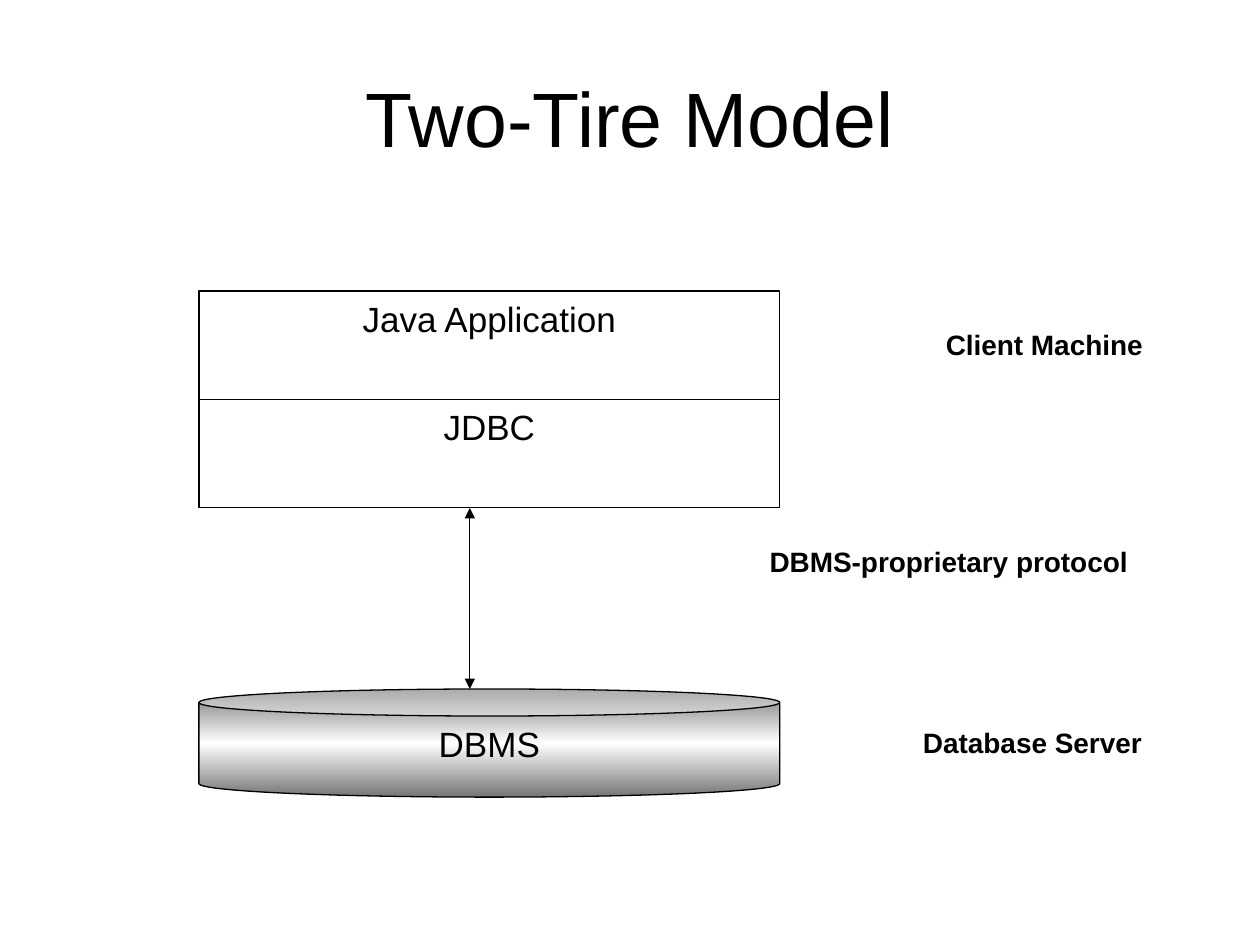
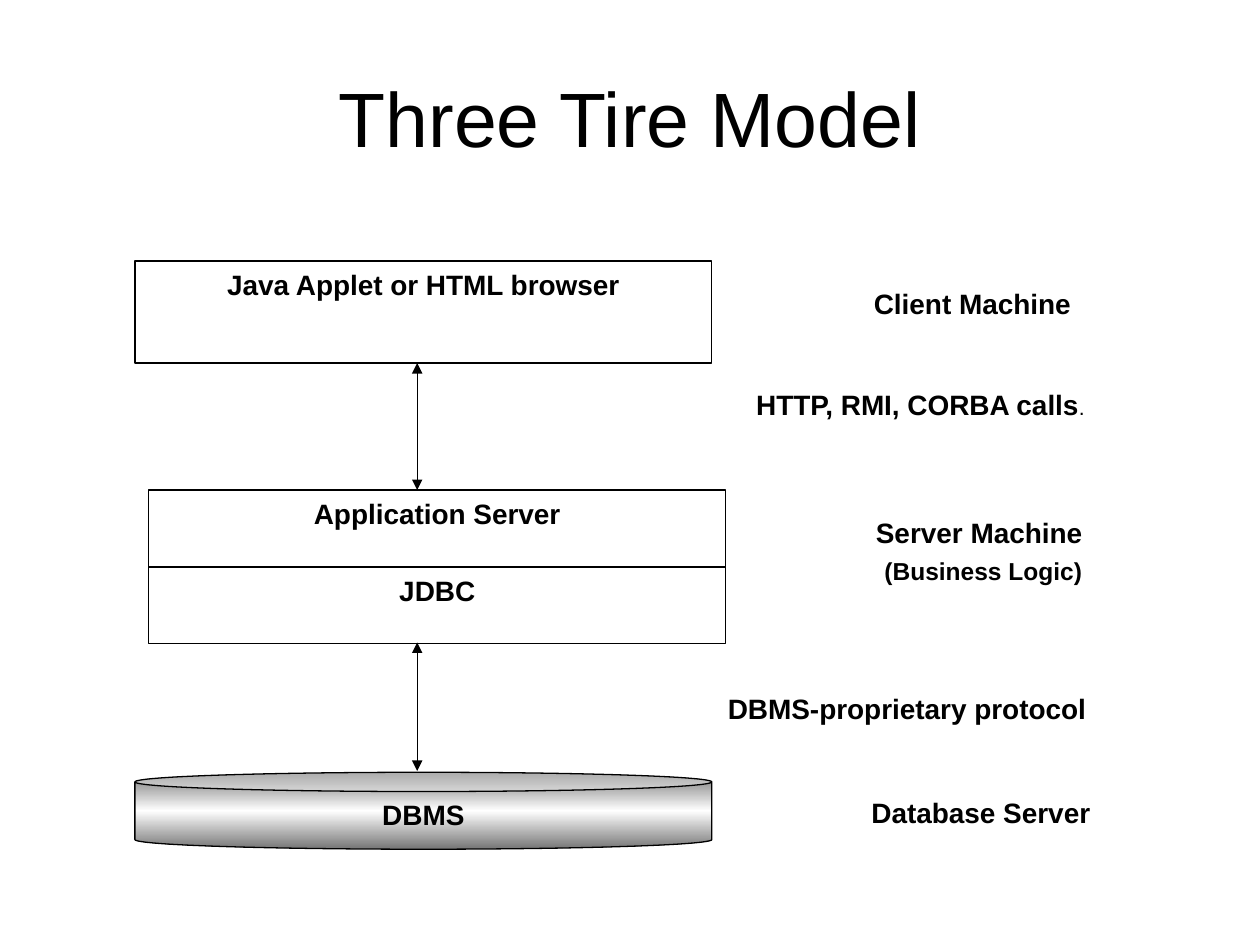
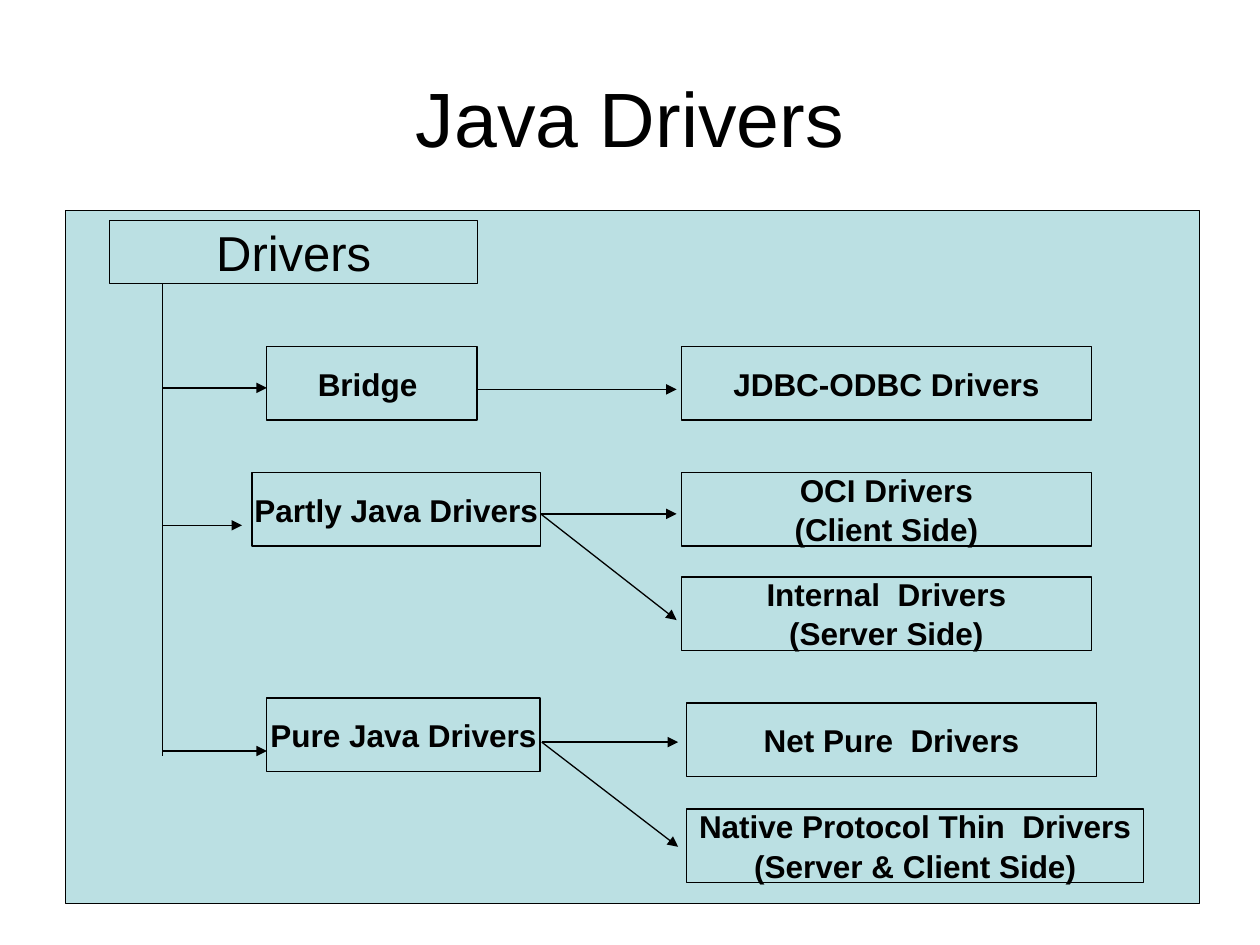
from copy import deepcopy
from dataclasses import dataclass, replace

from lxml import etree
from pptx import Presentation
from pptx.dml.color import RGBColor
from pptx.enum.shapes import MSO_CONNECTOR, MSO_SHAPE
from pptx.enum.text import MSO_ANCHOR, PP_ALIGN
from pptx.oxml.ns import qn
from pptx.presentation import Presentation as PresentationFile
from pptx.shapes.autoshape import Shape
from pptx.slide import Slide
from pptx.text.text import TextFrame
from pptx.util import Cm, Pt

RECTANGLE, CAN = MSO_SHAPE.RECTANGLE, MSO_SHAPE.CAN
STRAIGHT = MSO_CONNECTOR.STRAIGHT
CENTER, RIGHT = PP_ALIGN.CENTER, PP_ALIGN.RIGHT
TOP, MIDDLE = MSO_ANCHOR.TOP, MSO_ANCHOR.MIDDLE
TITLE_ONLY = 5


@dataclass(frozen=True)
class Theme:
    font: str = "Arial"
    black: RGBColor = RGBColor(0x00, 0x00, 0x00)
    white: RGBColor = RGBColor(0xFF, 0xFF, 0xFF)
    grey: RGBColor = RGBColor(0x75, 0x75, 0x75)
    aqua: RGBColor = RGBColor(0xBB, 0xE0, 0xE3)
    title_size: float = 44
    heading_size: float = 28
    layer_size: float = 20
    driver_size: float = 18
    label_size: float = 16
    note_size: float = 14
    small_size: float = 12
    line_width: float = 0.75


THEME = Theme()


@dataclass(frozen=True)
class Style:
    size: float
    bold: bool = True
    kind: MSO_SHAPE = RECTANGLE
    fill: RGBColor = THEME.white
    line: RGBColor = THEME.black
    alignment: PP_ALIGN = CENTER
    anchor: MSO_ANCHOR = TOP
    margin_x: float = 0.25
    margin_y: float = 0.13
    wrap: bool = True


LAYER = Style(THEME.layer_size, bold=False)
BOLD_LAYER = Style(THEME.label_size)
DATABASE = replace(LAYER, kind=CAN)
BOLD_DATABASE = replace(BOLD_LAYER, kind=CAN)
LABEL = Style(THEME.label_size, line=THEME.white, alignment=RIGHT, margin_x=0, margin_y=0)
DRIVER = Style(THEME.driver_size, fill=THEME.aqua, anchor=MIDDLE, wrap=False)
DRIVER_ROOT = replace(DRIVER, size=THEME.heading_size, bold=False)


@dataclass(frozen=True)
class TextRun:
    """Piece of text; size and bold fall back to the style of its box."""
    text: str
    size: float | None = None
    bold: bool | None = None


@dataclass(frozen=True)
class TextLine:
    runs: tuple[TextRun, ...]
    space_before: float = 0


def lines(*texts: str) -> tuple[TextLine, ...]:
    return tuple(TextLine((TextRun(text),), 1 if index else 0) for index, text in enumerate(texts))


@dataclass(frozen=True)
class Box:
    left: float
    top: float
    width: float
    height: float
    style: Style
    content: tuple[TextLine, ...] = ()


@dataclass(frozen=True)
class Line:
    start: tuple[float, float]
    end: tuple[float, float]
    ends: tuple[str, ...] = ("tailEnd",)


def write_text(frame: TextFrame, content: tuple[TextLine, ...], style: Style) -> None:
    frame.word_wrap = style.wrap
    frame.vertical_anchor = style.anchor
    frame.margin_left = frame.margin_right = Cm(style.margin_x)
    frame.margin_top = frame.margin_bottom = Cm(style.margin_y)
    for index, line in enumerate(content):
        paragraph = frame.add_paragraph() if index else frame.paragraphs[0]
        paragraph.alignment = style.alignment
        paragraph.space_before = Pt(line.space_before)
        for piece in line.runs:
            run = paragraph.add_run()
            run.text = piece.text
            run.font.name = THEME.font
            run.font.size = Pt(piece.size or style.size)
            run.font.bold = style.bold if piece.bold is None else piece.bold
            run.font.color.rgb = THEME.black


def fill_with_metal(shape: Shape) -> None:
    """Shade the shape vertically from grey through white to grey."""
    shape.fill.gradient()
    shape.fill.gradient_angle = 90
    stop_list = next(shape.element.iter(qn("a:gsLst")))
    stop_list.append(deepcopy(stop_list[0]))
    colors = (THEME.grey, THEME.white, THEME.grey)
    for index, (stop, color) in enumerate(zip(shape.fill.gradient_stops, colors)):
        stop.position = index / 2
        stop.color.rgb = color


def draw_box(slide: Slide, box: Box) -> None:
    style = box.style
    shape = slide.shapes.add_shape(
        style.kind, Cm(box.left), Cm(box.top), Cm(box.width), Cm(box.height)
    )
    shape.shadow.inherit = False
    if style.kind == CAN:
        fill_with_metal(shape)
    else:
        shape.fill.solid()
        shape.fill.fore_color.rgb = style.fill
    shape.line.color.rgb = style.line
    shape.line.width = Pt(THEME.line_width)
    write_text(shape.text_frame, box.content, style)


def draw_line(slide: Slide, line: Line) -> None:
    (start_x, start_y), (end_x, end_y) = line.start, line.end
    connector = slide.shapes.add_connector(
        STRAIGHT, Cm(start_x), Cm(start_y), Cm(end_x), Cm(end_y)
    )
    connector.line.color.rgb = THEME.black
    connector.line.width = Pt(THEME.line_width)
    properties = connector.element.spPr
    outline = properties.find(qn("a:ln"))
    for end in line.ends:
        etree.SubElement(outline, qn(f"a:{end}"), type="triangle")
    etree.SubElement(properties, qn("a:effectLst"))


def add_diagram(
    presentation: PresentationFile, title: str, boxes: list[Box], connections: list[Line]
) -> None:
    slide = presentation.slides.add_slide(presentation.slide_layouts[TITLE_ONLY])
    placeholder = slide.shapes.title
    placeholder.left, placeholder.top = Cm(1.27), Cm(0.76)
    placeholder.width, placeholder.height = Cm(22.86), Cm(3.18)
    write_text(
        placeholder.text_frame, lines(title), Style(THEME.title_size, bold=False, anchor=MIDDLE)
    )
    for box in boxes:
        draw_box(slide, box)
    for connection in connections:
        draw_line(slide, connection)


def two_way(x: float, top: float, bottom: float) -> Line:
    return Line((x, top), (x, bottom), ("headEnd", "tailEnd"))


def add_two_tier(presentation: PresentationFile) -> None:
    left, width, height = 4.01, 11.71, 2.18
    boxes = [
        Box(left, 5.87, width, height, LAYER, lines("Java Application")),
        Box(left, 8.05, width, height, LAYER, lines("JDBC")),
        Box(left, 13.89, width, height, DATABASE, lines("DBMS")),
        Box(16.51, 6.6, 6.53, 1.45, LABEL, lines("Client Machine")),
        Box(10.24, 10.97, 12.5, 1.47, LABEL, lines("DBMS-proprietary protocol")),
        Box(15.98, 14.63, 7.04, 1.45, LABEL, lines("Database Server")),
    ]
    add_diagram(presentation, "Two-Tire Model", boxes, [two_way(9.47, 10.24, 13.89)])


def add_three_tier(presentation: PresentationFile) -> None:
    left, width, height = 2.72, 11.63, 1.55
    server_left = 3
    calls = (
        TextLine((TextRun("HTTP, RMI, CORBA calls"), TextRun(".", THEME.small_size, False))),
    )
    server = (
        TextLine((TextRun("Server Machine"),)),
        TextLine((TextRun("(Business Logic)", THEME.note_size),), space_before=4),
    )
    boxes = [
        Box(left, 5.26, width, 2.06, BOLD_LAYER, lines("Java Applet or HTML browser")),
        Box(server_left, 9.88, width, height, BOLD_LAYER, lines("Application Server")),
        Box(server_left, 11.43, width, height, BOLD_LAYER, lines("JDBC")),
        Box(left, 15.57, width, height, BOLD_DATABASE, lines("DBMS")),
        Box(17.35, 5.77, 4.24, 1.02, LABEL, lines("Client Machine")),
        Box(14.68, 7.82, 7.19, 1.04, LABEL, calls),
        Box(17.04, 10.39, 4.78, height, LABEL, server),
        Box(14.33, 13.94, 7.57, 1.04, LABEL, lines("DBMS-proprietary protocol")),
        Box(17.15, 16.03, 4.83, 0.91, LABEL, lines("Database Server")),
    ]
    arrows = [two_way(8.41, 7.32, 9.88), two_way(8.41, 12.95, 15.54)]
    add_diagram(presentation, "Three Tire Model", boxes, arrows)


def add_drivers(presentation: PresentationFile) -> None:
    height = 1.48
    trunk_x = 3.28
    pure_text = lines("Native Protocol Thin  Drivers", "(Server & Client Side)")
    boxes = [
        Box(1.32, 4.24, 22.86, 13.97, DRIVER),
        Box(2.21, 4.45, 7.42, 1.27, DRIVER_ROOT, lines("Drivers")),
        Box(5.38, 6.99, 4.24, height, DRIVER, lines("Bridge ")),
        Box(5.08, 9.53, 5.82, height, DRIVER, lines("Partly Java Drivers")),
        Box(5.38, 14.07, 5.51, height, DRIVER, lines("Pure Java Drivers")),
        Box(13.74, 6.99, 8.26, height, DRIVER, lines("JDBC-ODBC Drivers")),
        Box(13.74, 9.53, 8.26, height, DRIVER, lines("OCI Drivers", "(Client Side)")),
        Box(13.74, 11.63, 8.26, height, DRIVER, lines("Internal  Drivers", "(Server Side)")),
        Box(13.84, 14.17, 8.26, height, DRIVER, lines("Net Pure  Drivers")),
        Box(13.84, 16.31, 9.22, height, DRIVER, pure_text),
    ]
    trunk = Line((trunk_x, 5.72), (trunk_x, 15.24), ())
    branches = [
        Line((trunk_x, y), (end_x, y))
        for y, end_x in ((7.82, 5.38), (10.59, 4.88), (15.14, 5.38))
    ]
    fans = [
        Line(start, (end_x, end_y))
        for start, end_x, targets in (
            ((9.63, 7.85), 13.64, (7.85,)),
            ((10.9, 10.36), 13.64, (10.36, 12.5)),
            ((10.92, 14.96), 13.67, (14.96, 17.07)),
        )
        for end_y in targets
    ]
    add_diagram(presentation, "Java Drivers", boxes, [trunk, *branches, *fans])


def main() -> None:
    presentation = Presentation()
    presentation.slide_width, presentation.slide_height = Cm(25.4), Cm(19.05)
    add_two_tier(presentation)
    add_three_tier(presentation)
    add_drivers(presentation)
    presentation.save("out.pptx")


if __name__ == "__main__":
    main()
